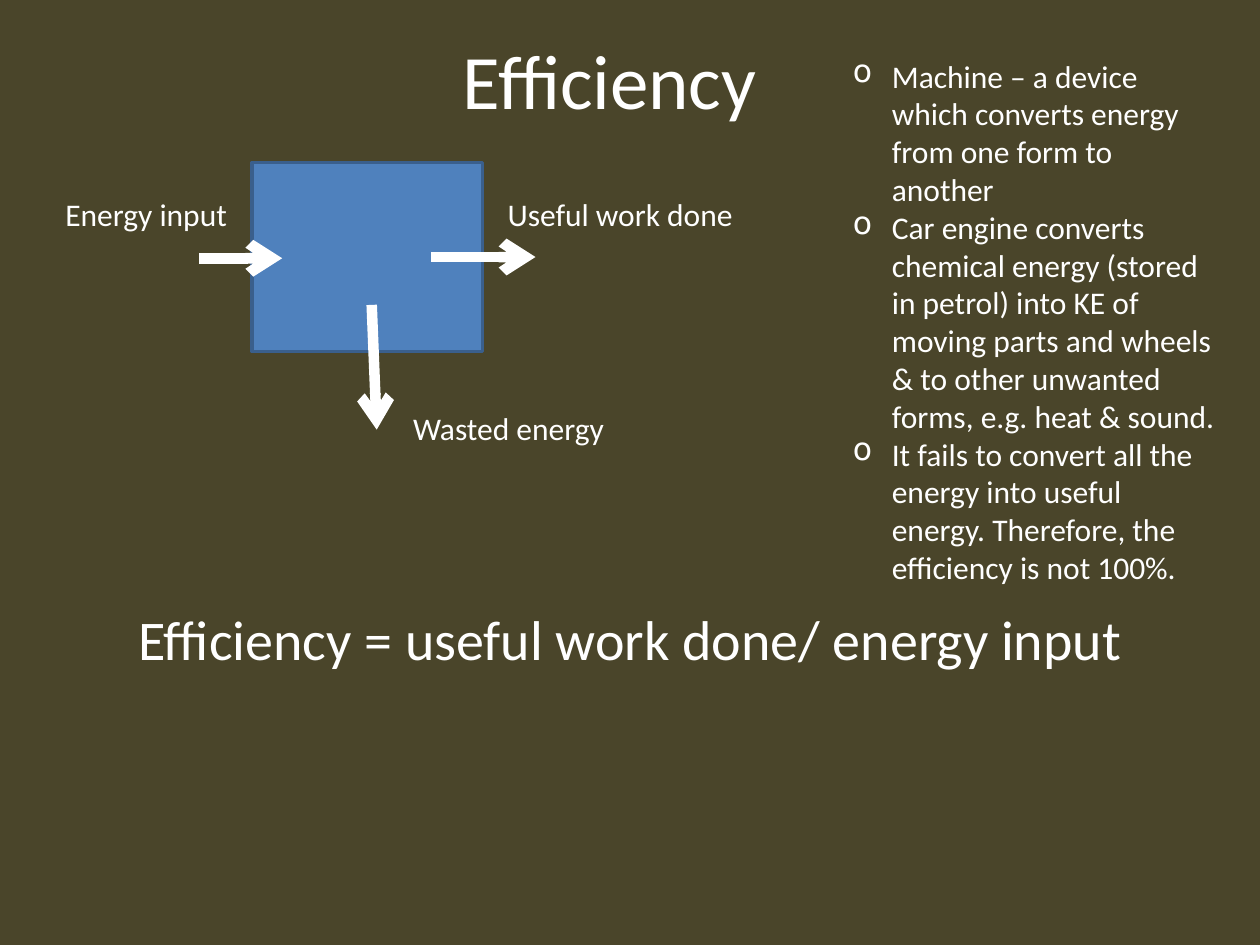
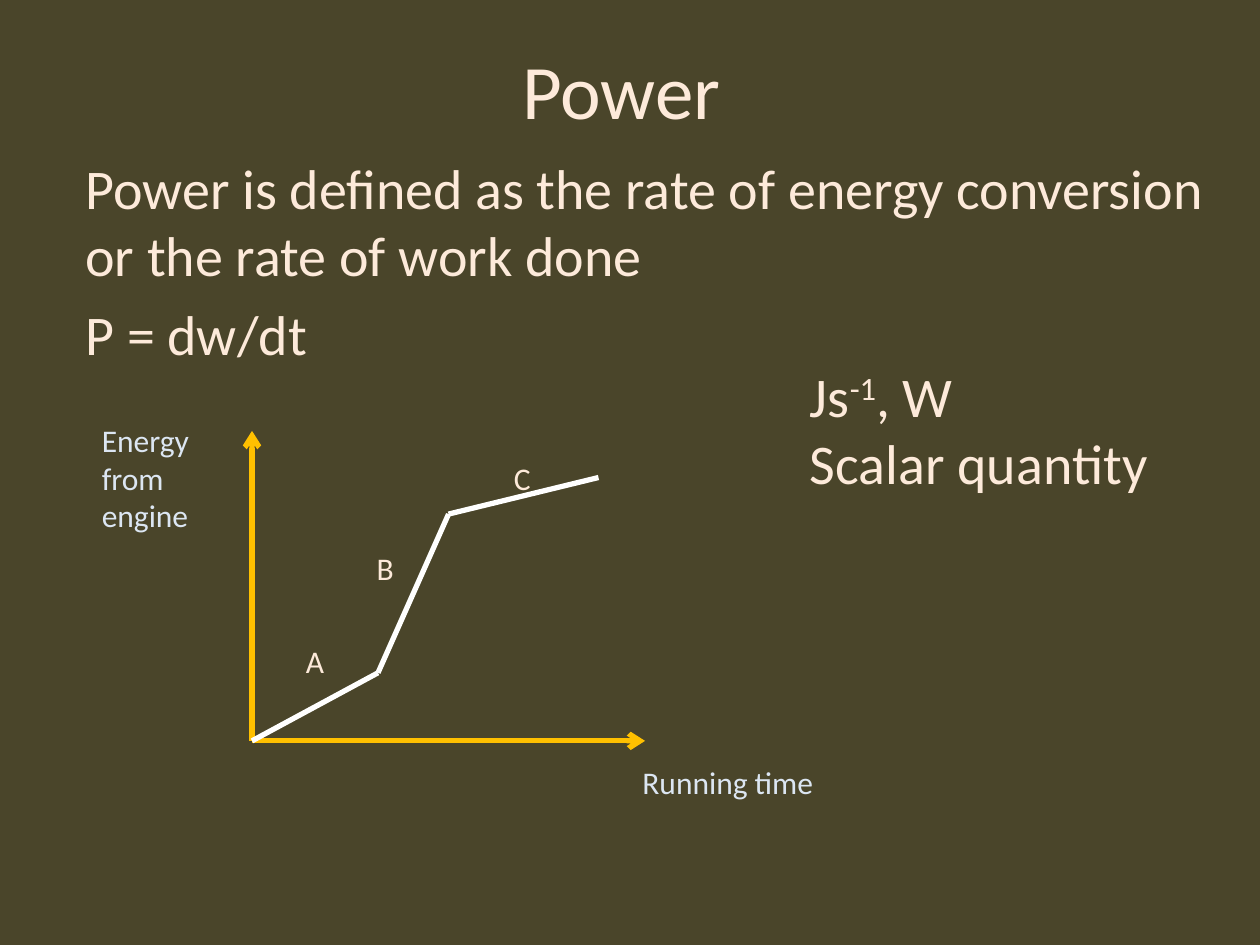
import itertools
import pptx
import pptx.dml.color
import pptx.enum.shapes
import pptx.enum.text
import pptx.oxml.ns
import pptx.util
from lxml import etree
from pptx.util import Inches

FONT = "Calibri"
HUES = {
    "back": "4A452A",
    "white": "FFFFFF",
    "cream": "FDEADA",
    "pale": "DCE6F2",
    "gold": "FFC000",
    "blue": "4F81BD",
    "edge": "3A5F8C",
}
SMALL, LARGE, HEAD = 18, 32, 44
POINTS = [
    "Machine – a device which converts energy from one form to another",
    "Car engine converts chemical energy (stored in petrol) into KE of moving "
    "parts and wheels & to other unwanted forms, e.g. heat & sound.",
    "It fails to convert all the energy into useful energy. Therefore, the "
    "efficiency is not 100%.",
]


def paint(name):
    """Return the named colour."""
    return pptx.dml.color.RGBColor.from_string(HUES[name])


def add_sub(parent, tag, **attrs):
    """Append a drawing element with the given attributes."""
    return etree.SubElement(parent, pptx.oxml.ns.qn(tag), **attrs)


def add_slide(deck):
    """Add a blank slide with the shared background."""
    slide = deck.slides.add_slide(deck.slide_layouts[6])
    slide.background.fill.solid()
    slide.background.fill.fore_color.rgb = paint("back")
    return slide


def add_text(slide, box, paras, hue, size=SMALL, wrap=False):
    """Write paragraphs, each a list of (words, baseline) runs, in a text box."""
    frame = slide.shapes.add_textbox(*map(Inches, box)).text_frame
    frame.word_wrap = wrap
    for i, runs in enumerate(paras):
        para = frame.add_paragraph() if i else frame.paragraphs[0]
        for words, base in runs:
            run = para.add_run()
            run.text = words
            run.font.name = FONT
            run.font.size = pptx.util.Pt(size)
            run.font.color.rgb = paint(hue)
            if base:
                run._r.get_or_add_rPr().set("baseline", str(base * 1000))
    return frame


def plain(*lines):
    """Turn lines of words into paragraphs of one run."""
    return [[(line, 0)] for line in lines]


def add_title(slide, box, words, hue):
    """Add a centred slide title."""
    frame = add_text(slide, box, plain(words), hue, HEAD, True)
    frame.vertical_anchor = pptx.enum.text.MSO_ANCHOR.MIDDLE
    frame.paragraphs[0].alignment = pptx.enum.text.PP_ALIGN.CENTER


def add_line(slide, start, end, hue, width, arrow=False):
    """Draw a straight line, with an arrowhead at its end if asked."""
    line = slide.shapes.add_connector(
        pptx.enum.shapes.MSO_CONNECTOR.STRAIGHT, *map(Inches, (*start, *end)))
    line.line.color.rgb = paint(hue)
    line.line.width = pptx.util.Pt(width)
    if arrow:
        add_sub(line.line._get_or_add_ln(), "a:tailEnd", type="arrow")
    add_sub(line._element.spPr, "a:effectLst")


def add_flow(slide, box):
    """Draw the machine with its labelled energy flows."""
    left, top, width, height = box
    block = slide.shapes.add_shape(
        pptx.enum.shapes.MSO_SHAPE.RECTANGLE, *map(Inches, box))
    block.shadow.inherit = False
    block.fill.solid()
    block.fill.fore_color.rgb = paint("blue")
    block.line.color.rgb = paint("edge")
    block.line.width = pptx.util.Pt(2)
    mid, right, base = top + height / 2, left + width, top + height
    flows = [
        ("Energy input", (left - 1.58, top + 0.21, 1.5, 0.4),
         (left - 0.42, mid + 0.01), (left + 0.24, mid + 0.01)),
        ("Useful work done", (right + 0.1, top + 0.21, 2.01, 0.4),
         (right - 0.41, mid), (right + 0.42, mid)),
        ("Wasted energy", (left + 1.18, base + 0.41, 1.74, 0.4),
         (left + 0.95, base - 0.37), (left + 0.99, base + 0.62)),
    ]
    for words, place, start, end in flows:
        add_line(slide, start, end, "white", 6, True)
        add_text(slide, place, plain(words), "white")


def add_points(slide, box):
    """List the points about machines."""
    frame = add_text(slide, box, plain(*POINTS), "white", wrap=True)
    for para in frame.paragraphs:
        props = para._p.get_or_add_pPr()
        props.set("marL", str(Inches(0.31)))
        props.set("indent", str(-Inches(0.31)))
        add_sub(props, "a:buChar", char="o")


def add_graph(slide, box):
    """Draw energy against running time in three stages."""
    left, top, width, height = box
    base = top + height
    for tip in ((left, top), (left + width, base)):
        add_line(slide, (left, base), tip, "gold", 3, True)
    knots = [(left + x, base - y)
             for x, y in ((0, 0), (1, 0.54), (1.56, 1.8), (2.75, 2.09))]
    for start, end in itertools.pairwise(knots):
        add_line(slide, start, end, "white", 3)
    for name, x, y in (("A", 0.33, 0.83), ("B", 0.89, 1.57), ("C", 1.98, 2.29)):
        add_text(slide, (left + x, base - y, 0.35, 0.4), plain(name), "cream")
    add_text(slide, (left + width - 0.12, base + 0.13, 1.58, 0.4),
             plain("Running time"), "pale")
    add_text(slide, (left - 1.29, top - 0.13, 1.1, 1.01),
             plain("Energy from engine"), "pale", wrap=True)


def add_law(slide, box):
    """State what power is."""
    frame = add_text(slide, box, plain(
        "Power is defined as the rate of energy conversion or the rate of work done",
        "P = dw/dt"), "cream", LARGE, True)
    for para in frame.paragraphs:
        para.space_before = pptx.util.Pt(LARGE * 0.2)


def make_first(deck):
    """Build the slide on efficiency."""
    slide = add_slide(deck)
    add_title(slide, (0.41, 0, 9, 1.25), "Efficiency ", "white")
    add_flow(slide, (2, 1.29, 1.83, 1.5))
    add_text(slide, (1, 4.75, 8.1, 0.64),
             plain("Efficiency = useful work done/ energy input"), "white", LARGE)
    add_points(slide, (6.67, 0.4, 3.09, 4.34))


def make_second(deck):
    """Build the slide on power."""
    slide = add_slide(deck)
    add_title(slide, (0.5, 0.08, 9, 1.25), "Power ", "cream")
    add_law(slide, (0.58, 1.17, 9.08, 1.95))
    add_graph(slide, (2, 3.42, 3.12, 2.46))
    units = [[("Js", 0), ("-1", 30), (", W", 0)], *plain("Scalar quantity")]
    add_text(slide, (6.33, 2.82, 2.92, 1.18), units, "cream", LARGE)


def main():
    """Build and save the deck."""
    deck = pptx.Presentation()
    deck.slide_width, deck.slide_height = Inches(10), Inches(7.5)
    make_first(deck)
    make_second(deck)
    deck.save("out.pptx")


if __name__ == "__main__":
    main()
